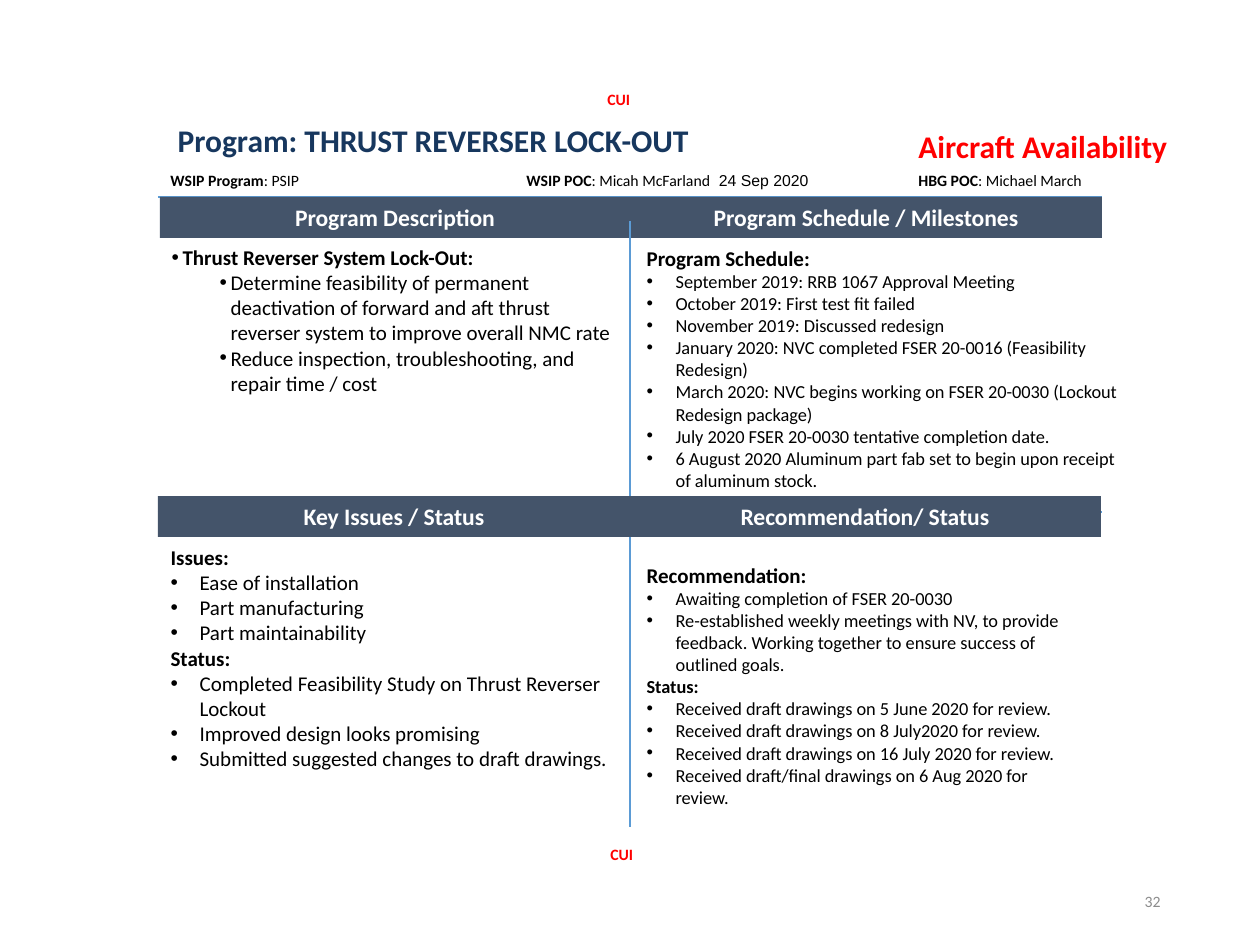
from lxml.etree import SubElement
from pptx import Presentation
from pptx.dml.color import RGBColor
from pptx.enum.shapes import MSO_CONNECTOR as Connector, MSO_SHAPE as Shape
from pptx.enum.text import MSO_ANCHOR as Anchor, MSO_AUTO_SIZE as AutoSize, PP_ALIGN as Align
from pptx.oxml.ns import qn
from pptx.util import Pt

PX = 914400 / 126
COLORS = {"navy": "17375E", "red": "FF0000", "black": "000000", "white": "FFFFFF",
          "banner": "44546A", "rule": "5B9BD5", "gray": "8C8C8C"}
BANNER_H = 41
STYLES = {
    "heading": dict(level=0, margin=0, hang=0, bold=True),
    "bullet": dict(level=0, margin=29, hang=29, bold=False),
    "topic": dict(level=0, margin=11, hang=11, bold=True),
    "detail": dict(level=1, margin=59, hang=11, bold=False),
}

DESCRIPTION = [
    ("topic", "Thrust Reverser System Lock-Out:"),
    ("detail", "Determine feasibility of permanent deactivation of forward and aft thrust "
               "reverser system to improve overall NMC rate"),
    ("detail", "Reduce inspection, troubleshooting, and repair time / cost"),
]
SCHEDULE = [
    ("heading", "Program Schedule:"),
    ("bullet", "September 2019: RRB 1067 Approval Meeting"),
    ("bullet", "October 2019: First test fit failed"),
    ("bullet", "November 2019: Discussed redesign"),
    ("bullet", "January 2020: NVC completed FSER 20-0016 (Feasibility Redesign)"),
    ("bullet", "March 2020: NVC begins working on FSER 20-0030 (Lockout Redesign package)"),
    ("bullet", "July 2020 FSER 20-0030 tentative completion date."),
    ("bullet", "6 August 2020 Aluminum part fab set to begin upon receipt of aluminum stock."),
]
ISSUES = [
    ("heading", "Issues:"),
    ("bullet", "Ease of installation"),
    ("bullet", "Part manufacturing"),
    ("bullet", "Part maintainability"),
    ("heading", "Status:"),
    ("bullet", "Completed Feasibility Study on Thrust Reverser Lockout"),
    ("bullet", "Improved design looks promising"),
    ("bullet", "Submitted suggested changes to draft drawings."),
]
RECOMMENDATION = [
    ("heading", "Recommendation:"),
    ("bullet", "Awaiting completion of FSER 20-0030"),
    ("bullet", "Re-established weekly meetings with NV, to provide feedback. "
               "Working together to ensure success of outlined goals."),
    ("heading", "Status:"),
    ("bullet", "Received draft drawings on 5 June 2020 for review."),
    ("bullet", "Received draft drawings on 8 July2020 for review."),
    ("bullet", "Received draft drawings on 16 July 2020 for review."),
    ("bullet", "Received draft/final drawings on 6 Aug 2020 for review."),
]


def emu(*lengths):
    return [round(length * PX) for length in lengths]


def rgb(color):
    return RGBColor.from_string(COLORS[color])


def set_font(paragraph, size, color, bold=None):
    font = paragraph.font
    font.name, font.size, font.bold = "Calibri", Pt(size), bold
    font.color.rgb = rgb(color)


def prepare(frame, anchor=Anchor.TOP):
    frame.word_wrap = True
    frame.auto_size = AutoSize.NONE
    frame.vertical_anchor = anchor


def place(placeholder, box):
    placeholder.left, placeholder.top, placeholder.width, placeholder.height = emu(*box)


def add_label(slide, box, runs, size, color="black", align=Align.LEFT,
              anchor=Anchor.TOP, tab=None):
    frame = slide.shapes.add_textbox(*emu(*box)).text_frame
    prepare(frame, anchor)
    if align == Align.LEFT:
        frame.margin_right = 0
    paragraph = frame.paragraphs[0]
    paragraph.alignment = align
    if tab:
        stops = SubElement(paragraph._p.get_or_add_pPr(), qn("a:tabLst"))
        SubElement(stops, qn("a:tab"), pos=str(emu(tab)[0]), algn="l")
    set_font(paragraph, size, color)
    for text, bold, *face in runs:
        run = paragraph.add_run()
        run.text, run.font.bold = text, bold
        if face:
            run.font.name = face[0]
    return paragraph


def add_rule(slide, x1, y1, x2, y2):
    rule = slide.shapes.add_connector(Connector.STRAIGHT, *emu(x1, y1, x2, y2))
    rule.line.color.rgb = rgb("rule")
    rule.line.width = Pt(1.5)
    SubElement(rule._element.spPr, qn("a:effectLst"))


def fill_list(frame, items, size):
    prepare(frame)
    for index, (style_name, text) in enumerate(items):
        style = STYLES[style_name]
        paragraph = frame.paragraphs[0] if index == 0 else frame.add_paragraph()
        paragraph.text = text
        paragraph.level = style["level"]
        props = paragraph._p.get_or_add_pPr()
        margin, hang = emu(style["margin"], style["hang"])
        props.set("marL", str(margin))
        props.set("indent", str(-hang))
        if hang:
            SubElement(props, qn("a:buFont"), typeface="Arial")
            SubElement(props, qn("a:buChar"), char="•")
        else:
            SubElement(props, qn("a:buNone"))
        paragraph.alignment = Align.LEFT
        paragraph.space_before = Pt(0)
        set_font(paragraph, size if index else 12, "black", style["bold"])


def add_quadrant(slide, body, box, heading, items, list_box, size):
    x, y, width = box
    banner = slide.shapes.add_shape(Shape.RECTANGLE, *emu(x, y, width, BANNER_H))
    banner.shadow.inherit = False
    banner.fill.solid()
    banner.fill.fore_color.rgb = rgb("banner")
    banner.line.fill.background()
    prepare(banner.text_frame)
    paragraph = banner.text_frame.paragraphs[0]
    paragraph.text = heading
    paragraph.alignment = Align.CENTER
    set_font(paragraph, 13.5, "white", True)

    dx, dy, list_width, list_height = list_box
    place(body, (x + dx, y + BANNER_H + dy, list_width, list_height))
    fill_list(body.text_frame, items, size)


def add_header(slide):
    title = slide.shapes.title
    place(title, (165, 122, 542, 43))
    prepare(title.text_frame)
    program = title.text_frame.paragraphs[0]
    program.text = "Program: THRUST REVERSER LOCK-OUT"
    program.alignment = Align.LEFT
    program.line_spacing = Pt(17.2)
    set_font(program, 18, "navy", True)

    category = add_label(slide, (906, 129, 329, 43), [("Aircraft Availability", True)], 18, "red")
    category.line_spacing = Pt(17.2)
    add_label(slide, (158, 165, 159, 31), [("WSIP Program", True), (": PSIP", False)], 9)
    add_label(slide, (514, 165, 407, 31),
              [("WSIP POC", True), (": Micah McFarland\t ", False),
               ("24 Sep 2020", False, "Arial")], 9, tab=189)
    add_label(slide, (906, 165, 190, 31), [("HBG POC", True), (": Michael March", False)], 9)


def add_quad_chart(slide):
    description, schedule, issues, recommendation = [slide.placeholders[i] for i in range(1, 5)]
    add_rule(slide, 158, 197, 1102, 197)
    add_quadrant(slide, description, (160, 197, 470), "Program Description",
                 DESCRIPTION, (-1, 0, 469, 165), 12)
    add_quadrant(slide, schedule, (630, 197, 472), "Program Schedule / Milestones",
                 SCHEDULE, (4, 1, 496, 284), 10.5)
    add_rule(slide, 158, 512, 1102, 512)
    add_rule(slide, 630, 827, 630, 221)
    add_quadrant(slide, issues, (158, 496, 472), "Key Issues / Status",
                 ISSUES, (0, 1, 469, 242), 12)
    add_quadrant(slide, recommendation, (629, 496, 472), "Recommendation/ Status",
                 RECOMMENDATION, (5, 19, 441, 284), 10.5)


def add_markings(slide):
    for x, y in ((595, 84), (598, 839)):
        add_label(slide, (x, y, 48, 31), [("CUI", True)], 9, "red")
    add_label(slide, (890, 876, 283, 50), [("32", False)], 9, "gray", Align.RIGHT, Anchor.MIDDLE)


def main():
    deck = Presentation()
    deck.slide_width, deck.slide_height = emu(1260, 945)
    slide = deck.slides.add_slide(deck.slide_layouts.get_by_name("Comparison"))
    add_header(slide)
    add_quad_chart(slide)
    add_markings(slide)
    deck.save("out.pptx")


if __name__ == "__main__":
    main()
